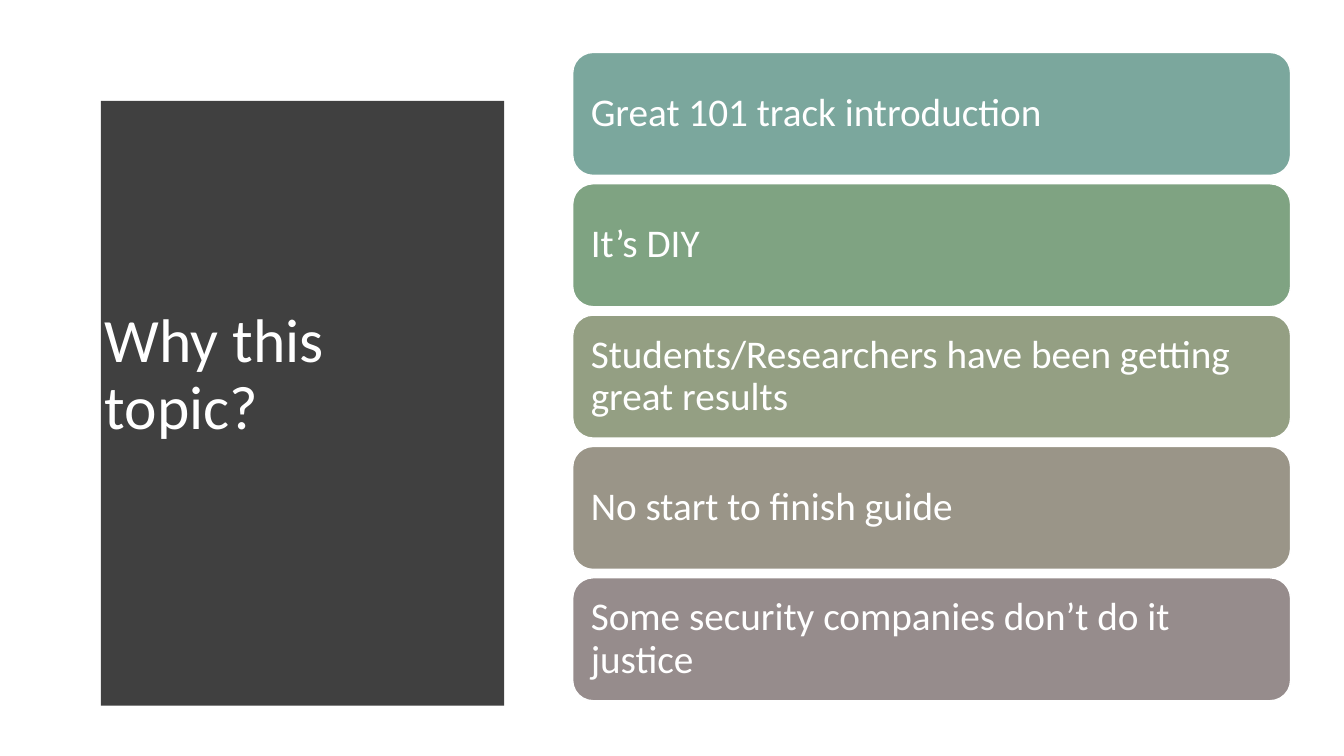
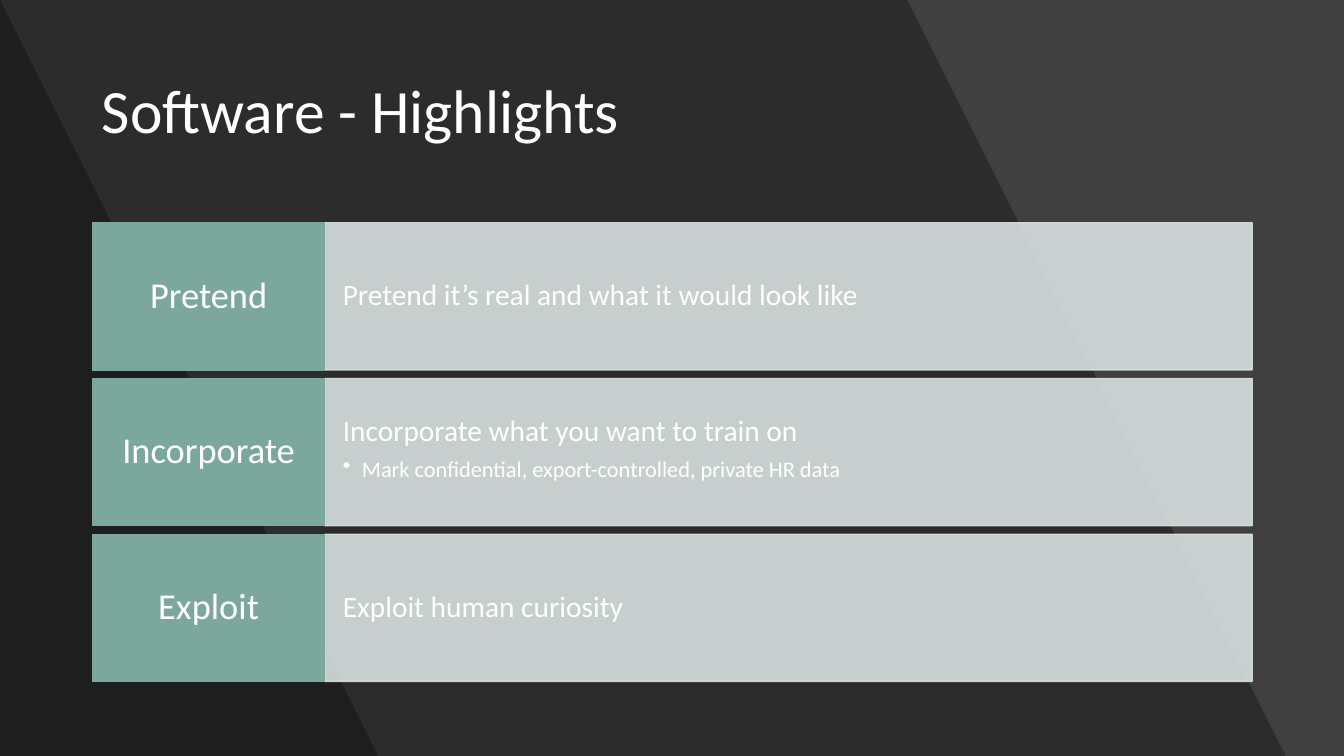
"""Build two slides: a list of reasons and a table of software highlights."""
from lxml import etree
from pptx import Presentation
from pptx.dml.color import RGBColor
from pptx.enum import shapes, text
from pptx.oxml import ns
from pptx.util import Inches, Pt

FONT = "Calibri"
WHITE, BLACK, CHARCOAL = "FFFFFF", "000000", "404040"
TEAL, PALE_TEAL = "7BA79D", "D7E1DF"


def paint(shape, fill, line=None, alpha=100):
    """Give a shape a flat fill, an optional outline and an opacity in percent."""
    shape.shadow.inherit = False
    shape.fill.solid()
    shape.fill.fore_color.rgb = RGBColor.from_string(fill)
    if line:
        shape.line.color.rgb = RGBColor.from_string(line)
        shape.line.width = Pt(1)
    else:
        shape.line.fill.background()
    if alpha < 100:
        for color in shape._element.spPr.iter(ns.qn("a:srgbClr")):
            etree.SubElement(color, ns.qn("a:alpha"), val=str(alpha * 1000))


def write(shape, lines, margins=(0.1, 0.05), align=text.PP_ALIGN.LEFT):
    """Write (text, size) lines into a shape, bulleting all after the first."""
    frame = shape.text_frame
    frame.word_wrap = True
    frame.auto_size = text.MSO_AUTO_SIZE.NONE
    frame.vertical_anchor = text.MSO_ANCHOR.MIDDLE
    frame.margin_left = frame.margin_right = Inches(margins[0])
    frame.margin_top = frame.margin_bottom = Inches(margins[1])
    for index, (words, size) in enumerate(lines):
        paragraph = frame.add_paragraph() if index else frame.paragraphs[0]
        if index:
            paragraph.level = 1
            properties = paragraph._p.get_or_add_pPr()
            properties.set("marL", str(Inches(0.19)))
            properties.set("indent", str(-Inches(0.19)))
            etree.SubElement(properties, ns.qn("a:buChar"), char="•")
        paragraph.alignment = align
        paragraph.line_spacing = 0.9
        paragraph.space_before = Pt(0)
        if index < len(lines) - 1:
            paragraph.space_after = Pt(size * 0.35)
        run = paragraph.add_run()
        run.text = words
        run.font.name, run.font.size = FONT, Pt(size)
        run.font.color.rgb = RGBColor.from_string(WHITE)


presentation = Presentation()
presentation.slide_width, presentation.slide_height = Inches(13.33), Inches(7.5)

top, bottom, steps = 0.52, 6.96, 40
curve = []
for step in range(steps + 1):
    offset = 2 * step / steps - 1
    curve.append((5.32 - 0.24 * offset ** 2, top + (bottom - top) * step / steps))
curved_panel = [(0.53, top), *curve, (0.53, bottom)]
slanted_bands = [[(0, 0), (right, 0), (right + 3.47, 7.5), (0, 7.5)]
                 for right in (9.42, 0.44)]

pages = [
    ("Why this topic?", (0.94, 1.11, 3.9, 5.24), WHITE, [curved_panel], CHARCOAL, 100),
    ("Software - Highlights", (0.91, 0.4, 11.51, 1.45), CHARCOAL, slanted_bands, BLACK, 30),
]
for title_text, box, background, outlines, color, alpha in pages:
    slide = presentation.slides.add_slide(presentation.slide_layouts[5])
    slide.background.fill.solid()
    slide.background.fill.fore_color.rgb = RGBColor.from_string(background)
    for outline in outlines:
        builder = slide.shapes.build_freeform(*outline[0], scale=Inches(1))
        builder.add_line_segments(outline[1:], close=True)
        paint(builder.convert_to_shape(), color, alpha=alpha)
    title = slide.shapes.title
    title.left, title.top, title.width, title.height = map(Inches, box)
    write(title, [(title_text, 44)])
    slide.shapes._spTree.append(title._element)

reasons_slide, highlights_slide = presentation.slides

reasons = [
    ("Great 101 track introduction", TEAL),
    ("It’s DIY", "7FA382"),
    ("Students/Researchers have been getting great results", "949F83"),
    ("No start to finish guide", "9A9588"),
    ("Some security companies don’t do it justice", "968C8C"),
]
for row, (reason, color) in enumerate(reasons):
    card = reasons_slide.shapes.add_shape(
        shapes.MSO_SHAPE.ROUNDED_RECTANGLE,
        Inches(5.68), Inches(0.52 + 1.303 * row), Inches(7.12), Inches(1.22))
    paint(card, color, WHITE)
    write(card, [(reason, 28)], (0.12, 0.12))

highlights = [
    ("Pretend", [("Pretend it’s real and what it would look like", 21)]),
    ("Incorporate", [("Incorporate what you want to train on", 21),
                     ("Mark confidential, export-controlled, private HR data", 16)]),
    ("Exploit", [("Exploit human curiosity", 21)]),
]
for row, (verb, details) in enumerate(highlights):
    row_top, row_height = Inches(2.21 + 1.545 * row), Inches(1.46)
    detail = highlights_slide.shapes.add_shape(
        shapes.MSO_SHAPE.RECTANGLE, Inches(3.22), row_top, Inches(9.2), row_height)
    paint(detail, PALE_TEAL, PALE_TEAL, 90)
    write(detail, details, (0.18, 0.37))
    if len(details) > 1:
        detail.text_frame.vertical_anchor = text.MSO_ANCHOR.TOP
    label = highlights_slide.shapes.add_shape(
        shapes.MSO_SHAPE.RECTANGLE, Inches(0.92), row_top, Inches(2.3), row_height)
    paint(label, TEAL, TEAL)
    write(label, [(verb, 26)], (0.12, 0.14), text.PP_ALIGN.CENTER)

presentation.save("out.pptx")
